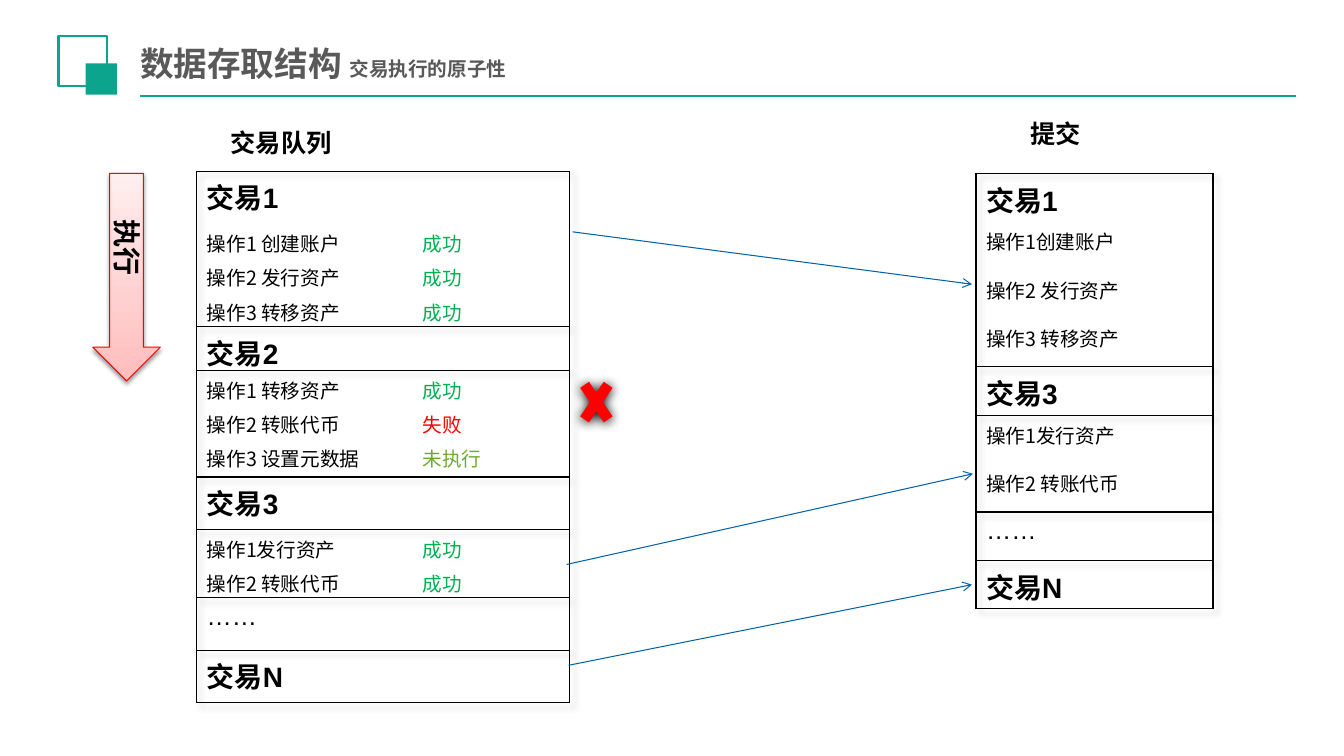
from dataclasses import dataclass
from lxml import etree
from pptx import Presentation
from pptx.dml.color import RGBColor
from pptx.enum import shapes, text
from pptx.oxml import ns
from pptx.util import Inches, Pt


@dataclass(frozen=True)
class Theme:
    """Colours, fonts and type sizes."""
    teal: str = "0CA48D"
    paper: str = "FFFFFF"
    ink: str = "000000"
    grey: str = "595959"
    blue: str = "0063AC"
    red: str = "FF0000"
    edge: str = "F90000"
    deep: str = "FFBDBD"
    pale: str = "FFEEEE"
    good: str = "00B050"
    idle: str = "6EAA2E"
    latin: str = "Arial"
    han: str = "Noto Sans CJK SC"
    title: int = 24
    name: int = 20
    label: int = 18
    body: int = 14


T = Theme()
PLAIN = "{2D5ABB26-0587-4C30-8999-92F81FD0307C}"
STATES = {"成功": T.good, "失败": T.red, "未执行": T.idle}
QUEUE = [
    [("交易1", ""), ("操作1 创建账户", "成功"), ("操作2 发行资产", "成功"), ("操作3 转移资产", "成功")],
    [("交易2", ""), ("操作1 转移资产", "成功"), ("操作2 转账代币", "失败"), ("操作3 设置元数据", "未执行")],
    [("交易3", ""), ("操作1发行资产", "成功"), ("操作2 转账代币", "成功")],
    [("……", ""), ("交易N", "")],
]
COMMIT = [
    [("交易1",), ("操作1创建账户",), ("操作2 发行资产",), ("操作3 转移资产",)],
    [("交易3",), ("操作1发行资产",), ("操作2 转账代币",)],
    [("……",), ("交易N",)],
]
HIGHS = [0.52, 0.34, 0.34, 0.34, 0.31, 0.34, 0.34, 0.38, 0.52, 0.34, 0.34, 0.52, 0.52]
LINKS = [(5.68, 2.3, 9.64, 2.82), (5.62, 5.6, 9.65, 4.7), (5.64, 6.6, 9.64, 5.8)]


def rgb(code):
    """Turn a hex code into a colour."""
    return RGBColor.from_string(code)


def sub(node, tag, **attrs):
    """Add a drawing element below a node."""
    return etree.SubElement(node, ns.qn("a:" + tag), attrs)


def style(font, size, color=T.ink, bold=False, face=T.han):
    """Set size, colour, weight and faces of a font."""
    font.size, font.bold, font.name = Pt(size), bold, face
    font.color.rgb = rgb(color)
    sub(font._element, "ea", typeface=T.han)


def shade(node, blur, dist, turn, alpha, spot=None):
    """Give a node an outer shadow."""
    fx = etree.Element(ns.qn("a:effectLst"))
    drop = sub(fx, "outerShdw", blurRad=str(Pt(blur)), dist=str(Pt(dist)),
               dir=str(turn * 60000), algn="tl", rotWithShape="0")
    tint = sub(drop, "srgbClr", val=T.ink)
    sub(tint, "alpha", val=str(alpha * 1000))
    if spot is None:
        node.append(fx)
    else:
        node.insert(spot, fx)


def shape(slide, kind, box, fill=None, line=None, width=1):
    """Place a preset shape with plain fill and line."""
    item = slide.shapes.add_shape(kind, *map(Inches, box))
    if fill:
        item.fill.solid()
        item.fill.fore_color.rgb = rgb(fill)
    if line:
        item.line.color.rgb = rgb(line)
        item.line.width = Pt(width)
    else:
        item.line.fill.background()
    item.shadow.inherit = False
    return item


def link(slide, ends, color, width, head=False):
    """Draw a straight line, with an open arrowhead on demand."""
    item = slide.shapes.add_connector(shapes.MSO_CONNECTOR.STRAIGHT, *map(Inches, ends))
    item.line.color.rgb = rgb(color)
    item.line.width = Pt(width)
    if head:
        sub(item.line._get_or_add_ln(), "tailEnd", type="arrow")
    sub(item._element.spPr, "effectLst")


def label(slide, box, words, size, face=T.han):
    """Place a bold label and return its shape."""
    item = slide.shapes.add_textbox(*map(Inches, box))
    item.text_frame.word_wrap = True
    para = item.text_frame.paragraphs[0]
    para.text = words
    style(para.font, size, bold=True, face=face)
    return item


def header(slide, box):
    """Draw the emblem, the title and its rule."""
    x, y, w, h = box
    link(slide, (x + 0.81, y + h, x + w, y + h), T.teal, 1.25)
    rect = shapes.MSO_SHAPE.RECTANGLE
    shape(slide, rect, (x, y, 0.48, 0.49), T.paper, T.teal, 1.5)
    shape(slide, rect, (x + 0.27, y + 0.27, 0.31, 0.31), T.teal)
    item = slide.shapes.add_textbox(*map(Inches, (x + 0.74, y + 0.03, 4.05, 0.48)))
    frame = item.text_frame
    frame.word_wrap = True
    frame.vertical_anchor = text.MSO_ANCHOR.MIDDLE
    frame.margin_left = frame.margin_right = Inches(0.07)
    frame.margin_top = frame.margin_bottom = Inches(0.04)
    for words, size in (("数据存取结构 ", T.title), ("交易执行的原子性", T.body)):
        run = frame.paragraphs[0].add_run()
        run.text = words
        style(run.font, size, T.grey, True)


def border(cell, sides):
    """Rule the named sides of a cell."""
    props = cell._tc.get_or_add_tcPr()
    for spot, side in enumerate(sides):
        line = etree.Element(ns.qn("a:ln" + side), w=str(Pt(1)))
        sub(sub(line, "solidFill"), "srgbClr", val=T.ink)
        props.insert(spot, line)


def write(cell, words):
    """Fill a cell in the manner its words call for."""
    cell.fill.background()
    para = cell.text_frame.paragraphs[0]
    para.text = words
    if words.startswith("交易"):
        style(para.font, T.name, bold=True, face=T.latin)
    elif words == "……":
        style(para.font, T.label, face=T.latin)
    elif words:
        style(para.font, T.body, STATES.get(words, T.ink))


def ledger(slide, box, blocks, cols, highs):
    """Draw a table of boxed transactions."""
    frame = slide.shapes.add_table(len(highs), len(cols), *map(Inches, box))
    table = frame.table
    table.first_row = table.horz_banding = False
    props = table._tbl.tblPr
    props.find(ns.qn("a:tableStyleId")).text = PLAIN
    shade(props, 4, 4, 45, 20, 0)
    for col, width in zip(table.columns, cols):
        col.width = Inches(width)
    for row, high in zip(table.rows, highs):
        row.height = Inches(high)
    rows = iter(table.rows)
    for block in blocks:
        for i, line in enumerate(block):
            cells = next(rows).cells
            for j, words in enumerate(line):
                cell = cells[j]
                write(cell, words)
                edges = {"L": j == 0, "R": j == len(cols) - 1,
                         "T": i == 0, "B": i == len(block) - 1}
                border(cell, [side for side, on in edges.items() if on])


def flow(slide, box):
    """Draw the downward arrow and its turned label."""
    x, y, w, h = box
    item = shape(slide, shapes.MSO_SHAPE.DOWN_ARROW, box, line=T.edge, width=0.75)
    item.fill.gradient()
    item.fill.gradient_angle = 90
    for stop, color in zip(item.fill.gradient_stops, (T.deep, T.pale)):
        stop.color.rgb = rgb(color)
    props = item._element.spPr
    props.remove(props.find(ns.qn("a:effectLst")))
    shade(props, 3.1, 1.6, 90, 38)
    label(slide, (x - 0.57, y + 1.05, 1.83, 0.44), "执行", T.name, T.latin).rotation = 90


def cross(slide, box):
    """Draw the mark of a rejected transaction."""
    item = shape(slide, shapes.MSO_SHAPE.MATH_MULTIPLY, box, T.red)
    props = item._element.spPr
    props.remove(props.find(ns.qn("a:effectLst")))
    shade(props, 8.5, 1, 90, 100)


def main():
    """Build and save the slide."""
    deck = Presentation()
    deck.slide_width, deck.slide_height = Inches(13.33), Inches(7.5)
    slide = deck.slides.add_slide(deck.slide_layouts[6])
    header(slide, (0.58, 0.36, 12.27, 0.59))
    flow(slide, (0.92, 1.72, 0.67, 2.06))
    ledger(slide, (1.95, 1.7, 3.7, 5.48), QUEUE, [2.14, 1.56], HIGHS)
    label(slide, (2.19, 1.21, 2.53, 0.4), "交易队列", T.label)
    ledger(slide, (9.68, 1.72, 2.35, 4.32), COMMIT, [2.35], [0.48] * 9)
    label(slide, (10.12, 1.12, 1.18, 0.4), "提交", T.label)
    for ends in LINKS:
        link(slide, ends, T.blue, 0.75, True)
    cross(slide, (5.69, 3.66, 0.45, 0.66))
    deck.save("out.pptx")


main()
